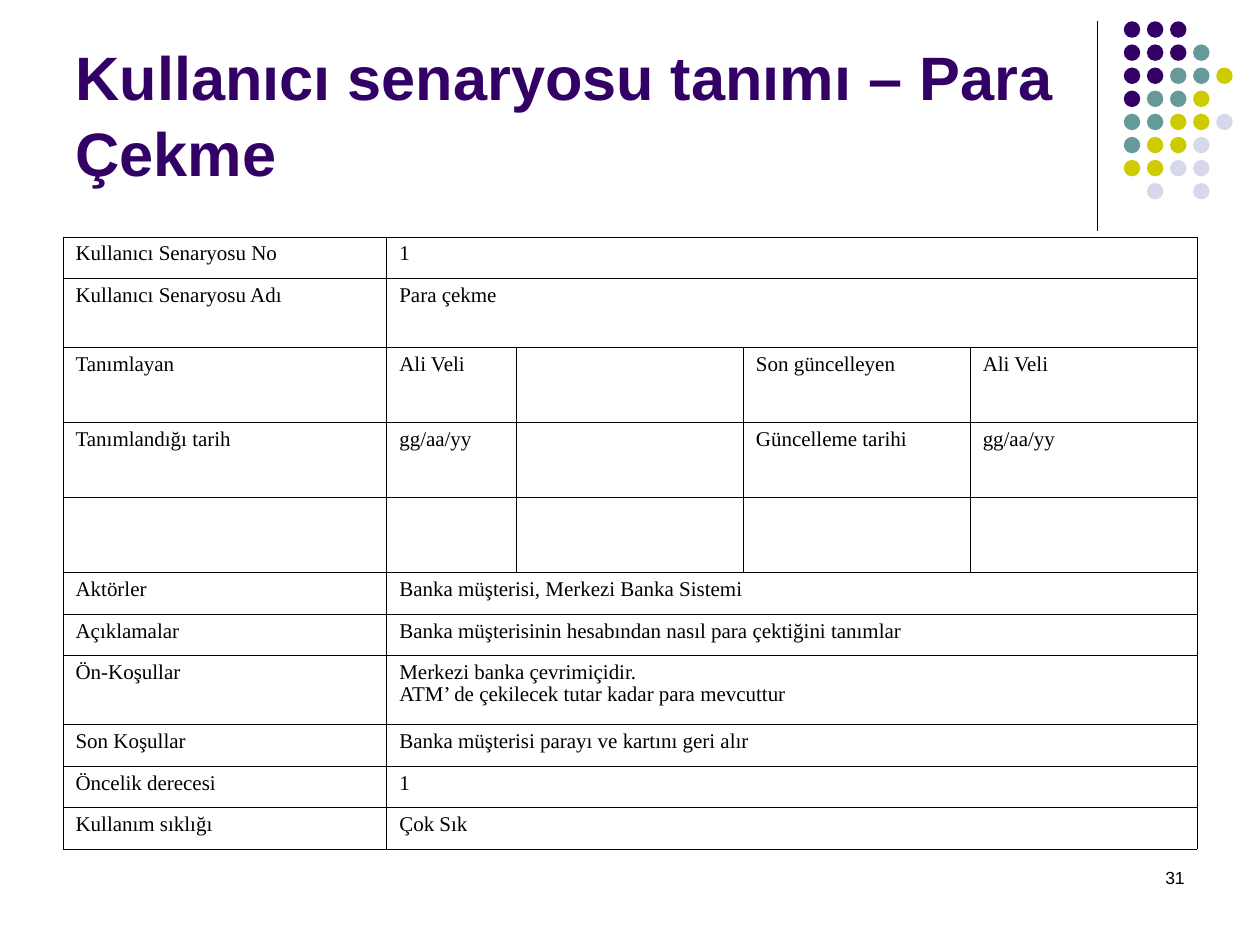
from lxml.etree import SubElement
from pptx import Presentation
from pptx.dml.color import RGBColor
from pptx.enum.shapes import MSO_CONNECTOR, MSO_SHAPE
from pptx.enum.text import MSO_ANCHOR, MSO_AUTO_SIZE, PP_ALIGN
from pptx.oxml.ns import qn
from pptx.util import Pt

COLORS = {
    "black": "000000",
    "purple": "330066",
    "teal": "669999",
    "olive": "CCCC00",
    "lilac": "D8D8EC",
}

# One letter per dot: the initial of its colour; a space leaves a gap
DOT_ROWS = ["ppp", "pppt", "pptto", "ptto", "ttool", "tool", "ooll", " l l"]
DOT_LEFT, DOT_TOP, DOT_PITCH, DOT_SIZE = 642.2, 12.2, 13.2, 9.4

COLUMN_WIDTHS = [185, 74.2, 129.6, 129.6, 129.6]
SHORT, TALL, TALLEST = 23.75, 39.4, 42.9
# Row height and cell texts; a row of two texts spans its second cell
TABLE_ROWS = [
    (SHORT, ["Kullanıcı Senaryosu No", "1"]),
    (TALL, ["Kullanıcı Senaryosu Adı", "Para çekme"]),
    (TALLEST, ["Tanımlayan", "Ali Veli", "", "Son güncelleyen", "Ali Veli"]),
    (TALLEST, ["Tanımlandığı tarih", "gg/aa/yy", "", "Güncelleme tarihi", "gg/aa/yy"]),
    (TALLEST, ["", "", "", "", ""]),
    (SHORT, ["Aktörler", "Banka müşterisi, Merkezi Banka Sistemi"]),
    (SHORT, ["Açıklamalar", "Banka müşterisinin hesabından nasıl para çektiğini tanımlar"]),
    (TALL, ["Ön-Koşullar",
            "Merkezi banka çevrimiçidir.\nATM’ de çekilecek tutar kadar para mevcuttur"]),
    (SHORT, ["Son Koşullar", "Banka müşterisi parayı ve kartını geri alır"]),
    (SHORT, ["Öncelik derecesi", "1"]),
    (SHORT, ["Kullanım sıklığı", "Çok Sık"]),
]


def color(name):
    return RGBColor.from_string(COLORS[name])


def write_text(text_frame, text, size, font="Arial", color_name="black", bold=False,
               align=PP_ALIGN.LEFT, spacing=None, hanging=0):
    text_frame.text = text
    for paragraph in text_frame.paragraphs:
        paragraph.alignment = align
        paragraph.line_spacing = spacing
        if hanging:
            properties = paragraph._p.get_or_add_pPr()
            properties.set("marL", str(Pt(hanging)))
            properties.set("indent", str(-Pt(hanging)))
        for run in paragraph.runs:
            run.font.name = font
            run.font.size = Pt(size)
            run.font.bold = bold
            run.font.color.rgb = color(color_name)


def add_title(slide, text):
    title = slide.shapes.title
    title.left, title.top, title.width, title.height = Pt(36), Pt(9.4), Pt(594), Pt(102.2)
    text_frame = title.text_frame
    text_frame.word_wrap = True
    text_frame.auto_size = MSO_AUTO_SIZE.NONE
    text_frame.vertical_anchor = MSO_ANCHOR.BOTTOM
    write_text(text_frame, text, 35, color_name="purple", bold=True, spacing=1.04)


def add_page_number(slide, text):
    box = slide.shapes.add_textbox(Pt(516), Pt(492), Pt(168), Pt(36))
    box.text_frame.word_wrap = True
    write_text(box.text_frame, text, 10, align=PP_ALIGN.RIGHT)


def add_rule(slide, x, top, bottom):
    rule = slide.shapes.add_connector(MSO_CONNECTOR.STRAIGHT, Pt(x), Pt(top), Pt(x), Pt(bottom))
    rule.line.color.rgb = color("black")
    rule.line.width = Pt(0.75)
    SubElement(rule._element.spPr, qn("a:effectLst"))


def add_dots(slide):
    names = {name[0]: name for name in COLORS if name != "black"}
    group = slide.shapes.add_group_shape()
    for row, letters in enumerate(DOT_ROWS):
        for column, letter in enumerate(letters):
            if letter == " ":
                continue
            dot = group.shapes.add_shape(
                MSO_SHAPE.OVAL, Pt(DOT_LEFT + column * DOT_PITCH),
                Pt(DOT_TOP + row * DOT_PITCH), Pt(DOT_SIZE), Pt(DOT_SIZE))
            dot.shadow.inherit = False
            dot.fill.solid()
            dot.fill.fore_color.rgb = color(names[letter])
            dot.line.fill.background()


def format_cell(cell):
    properties = cell._tc.get_or_add_tcPr()
    for side in ("lnL", "lnR", "lnT", "lnB"):
        border = SubElement(properties, qn(f"a:{side}"), w=str(Pt(0.45)))
        fill = SubElement(border, qn("a:solidFill"))
        SubElement(fill, qn("a:srgbClr"), val=COLORS["black"])
    cell.fill.background()


def add_scenario_table(slide):
    heights = [height for height, _ in TABLE_ROWS]
    table = slide.shapes.add_table(
        len(TABLE_ROWS), len(COLUMN_WIDTHS), Pt(36), Pt(135.4),
        Pt(sum(COLUMN_WIDTHS)), Pt(sum(heights))).table
    table.first_row = table.horz_banding = False
    for column, width in zip(table.columns, COLUMN_WIDTHS):
        column.width = Pt(width)
    for index, (height, texts) in enumerate(TABLE_ROWS):
        table.rows[index].height = Pt(height)
        for cell in table.rows[index].cells:
            format_cell(cell)
        if len(texts) == 2:
            table.cell(index, 1).merge(table.cell(index, len(COLUMN_WIDTHS) - 1))
        for column, text in enumerate(texts):
            if text:
                write_text(table.cell(index, column).text_frame, text, 12,
                           font="Times New Roman", spacing=0.95, hanging=27)


def main():
    presentation = Presentation()
    presentation.slide_width, presentation.slide_height = Pt(720), Pt(540)
    slide = presentation.slides.add_slide(presentation.slide_layouts[5])

    # Corner decoration
    add_rule(slide, 627, 12, 132)
    add_dots(slide)

    # Content
    add_page_number(slide, "31")
    add_title(slide, "Kullanıcı senaryosu tanımı – Para Çekme")
    add_scenario_table(slide)

    presentation.save("out.pptx")


if __name__ == "__main__":
    main()
